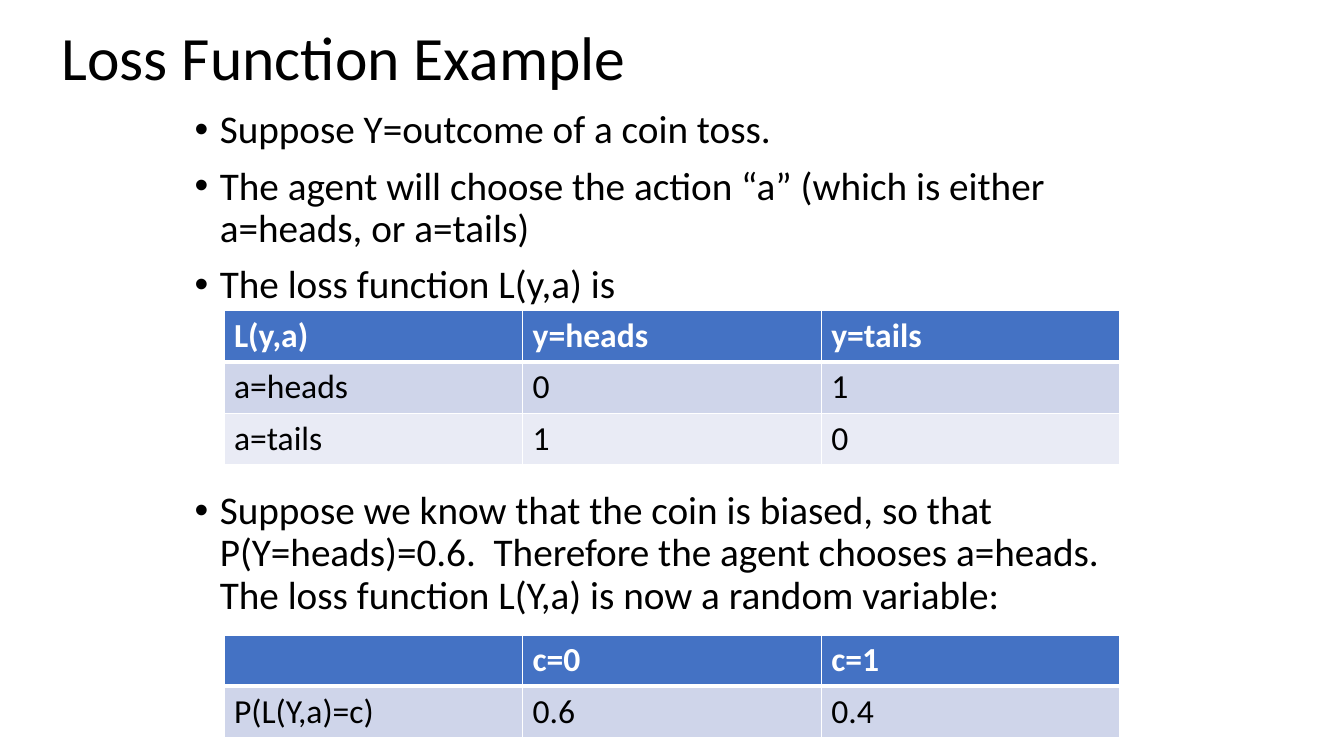
from dataclasses import dataclass

from lxml import etree
from pptx import Presentation
from pptx.dml.color import RGBColor
from pptx.enum import text
from pptx.oxml import ns
from pptx.util import Pt


@dataclass(frozen=True)
class Theme:
    font: str = "Calibri"
    title: int = 44
    body: int = 28
    cell: int = 24
    black: str = "000000"
    white: str = "FFFFFF"
    header: str = "4472C4"
    bands: tuple = ("CFD5EA", "E9EBF5")


THEME = Theme()
BULLETS = (
    ("Suppose Y=outcome of a coin toss.", 10),
    ("The agent will choose the action “a” (which is either a=heads, or a=tails)", 10),
    ("The loss function L(y,a) is", 10),
    ("Suppose we know that the coin is biased, so that P(Y=heads)=0.6.  Therefore "
     "the agent chooses a=heads.  The loss function L(Y,a) is now a random variable:", 131),
)
LOSS = (("L(y,a)", "y=heads", "y=tails"), ("a=heads", "0", "1"), ("a=tails", "1", "0"))
DISTRIBUTION = (("", "c=0", "c=1"), ("P(L(Y,a)=c)", "0.6", "0.4"))


def place(sp, left, top, width, height):
    sp.left, sp.top, sp.width, sp.height = Pt(left), Pt(top), Pt(width), Pt(height)


def style(p, size, color=THEME.black, bold=False):
    for r in p.runs:
        r.font.name = THEME.font
        r.font.size = Pt(size)
        r.font.bold = bold
        r.font.color.rgb = RGBColor.from_string(color)


def add_title(s, caption):
    sp = s.shapes.title
    place(sp, 36.7, 12.2, 885.6, 62.6)
    tf = sp.text_frame
    tf.text = caption
    tf.auto_size = text.MSO_AUTO_SIZE.NONE
    tf.vertical_anchor = text.MSO_ANCHOR.MIDDLE
    p = tf.paragraphs[0]
    p.alignment = text.PP_ALIGN.LEFT
    p.line_spacing = 0.9
    style(p, THEME.title)


def add_bullets(s, bullets):
    sp = s.placeholders[1]
    place(sp, 131.8, 74.9, 689.8, 429.1)
    tf = sp.text_frame
    tf.text = "\n".join(line for line, _ in bullets)
    tf.auto_size = text.MSO_AUTO_SIZE.NONE
    for p, (_, gap) in zip(tf.paragraphs, bullets):
        p.line_spacing = 0.9
        p.space_before = Pt(gap)
        style(p, THEME.body)
        pPr = p._p.get_or_add_pPr()
        pPr.set("marL", str(Pt(18)))
        pPr.set("indent", str(-Pt(18)))
        etree.SubElement(pPr, ns.qn("a:buFont"), typeface="Arial")
        etree.SubElement(pPr, ns.qn("a:buChar"), char="•")


def add_borders(cell, top, bottom):
    tcPr = cell._tc.get_or_add_tcPr()
    for i, (side, width) in enumerate((("L", 1), ("R", 1), ("T", top), ("B", bottom))):
        ln = etree.Element(ns.qn(f"a:ln{side}"), w=str(Pt(width)))
        fill = etree.SubElement(ln, ns.qn("a:solidFill"))
        etree.SubElement(fill, ns.qn("a:srgbClr"), val=THEME.white)
        tcPr.insert(i, ln)


def add_grid(s, top, rows):
    height = 36.6
    table = s.shapes.add_table(len(rows), len(rows[0]), Pt(160), Pt(top),
                               Pt(640), Pt(height * len(rows))).table
    for i, row in enumerate(rows):
        table.rows[i].height = Pt(height)
        is_header = i == 0
        fill = THEME.header if is_header else THEME.bands[(i - 1) % 2]
        for j, value in enumerate(row):
            cell = table.cell(i, j)
            cell.text = value
            cell.fill.solid()
            cell.fill.fore_color.rgb = RGBColor.from_string(fill)
            add_borders(cell, 3 if i == 1 else 1, 3 if is_header else 1)
            style(cell.text_frame.paragraphs[0], THEME.cell,
                  THEME.white if is_header else THEME.black, is_header)


def main():
    prs = Presentation()
    prs.slide_width, prs.slide_height = Pt(960), Pt(540)
    s = prs.slides.add_slide(prs.slide_layouts[1])
    add_title(s, "Loss Function Example")
    add_bullets(s, BULLETS)
    add_grid(s, 222, LOSS)
    add_grid(s, 453.6, DISTRIBUTION)
    prs.save("out.pptx")


if __name__ == "__main__":
    main()
